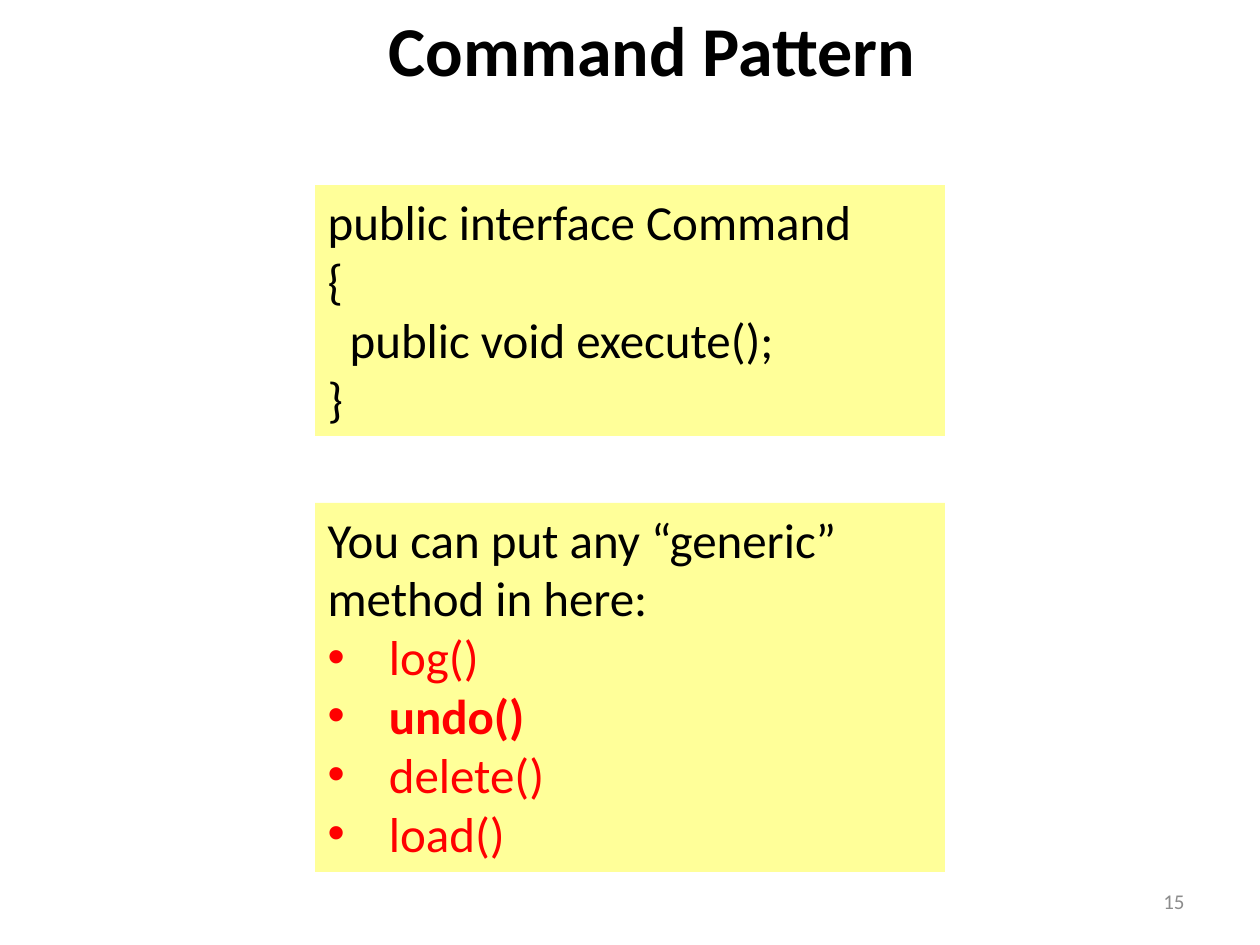
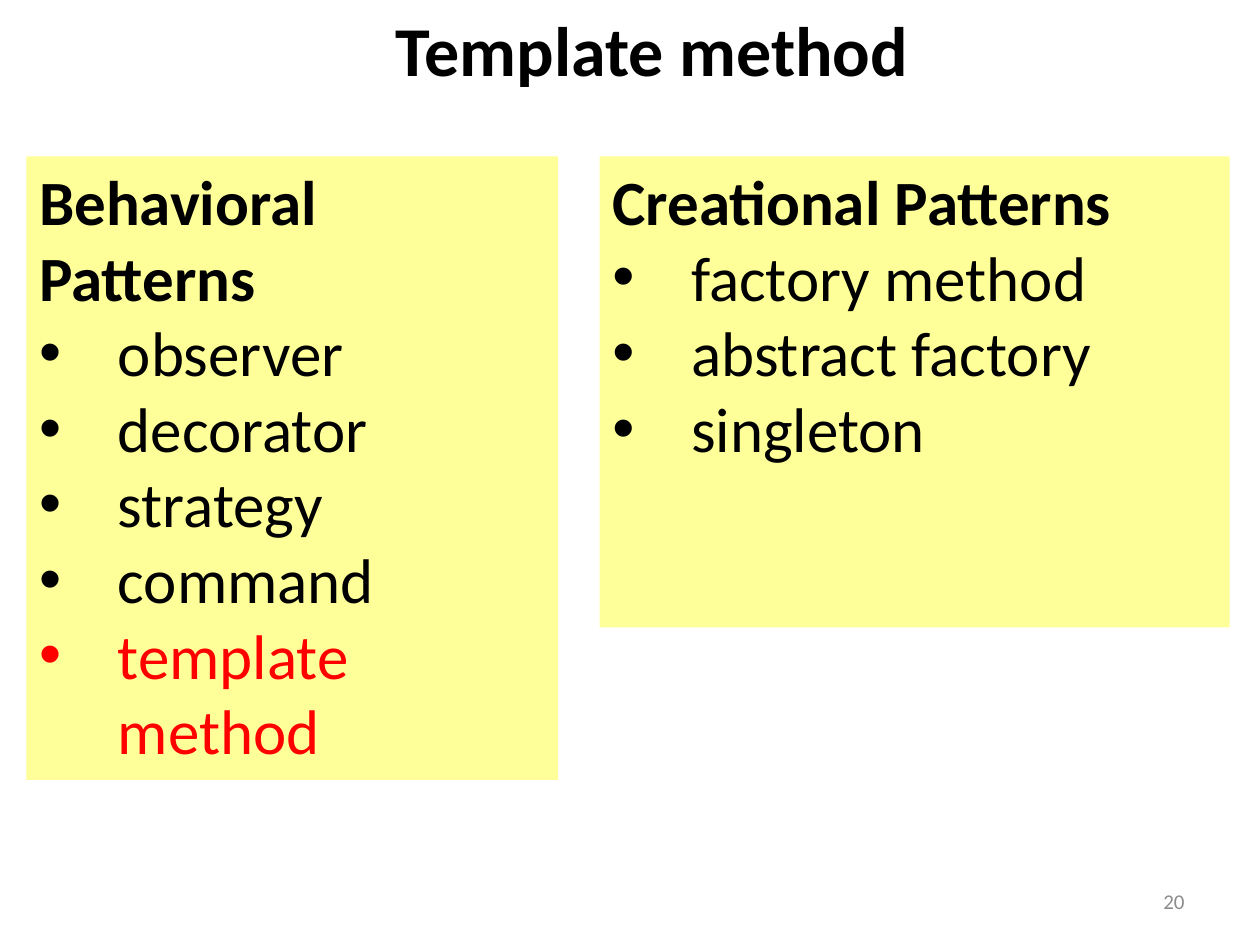
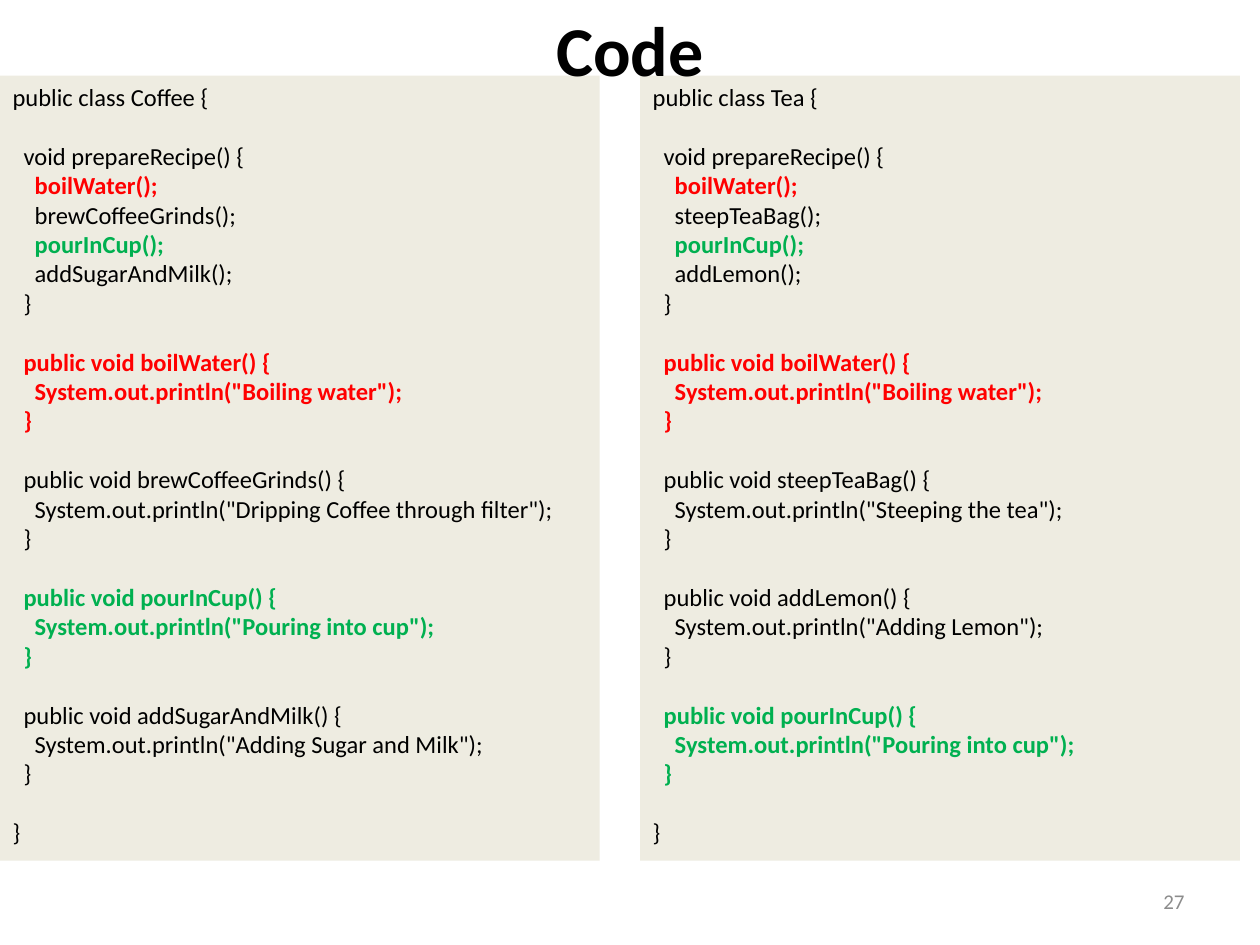
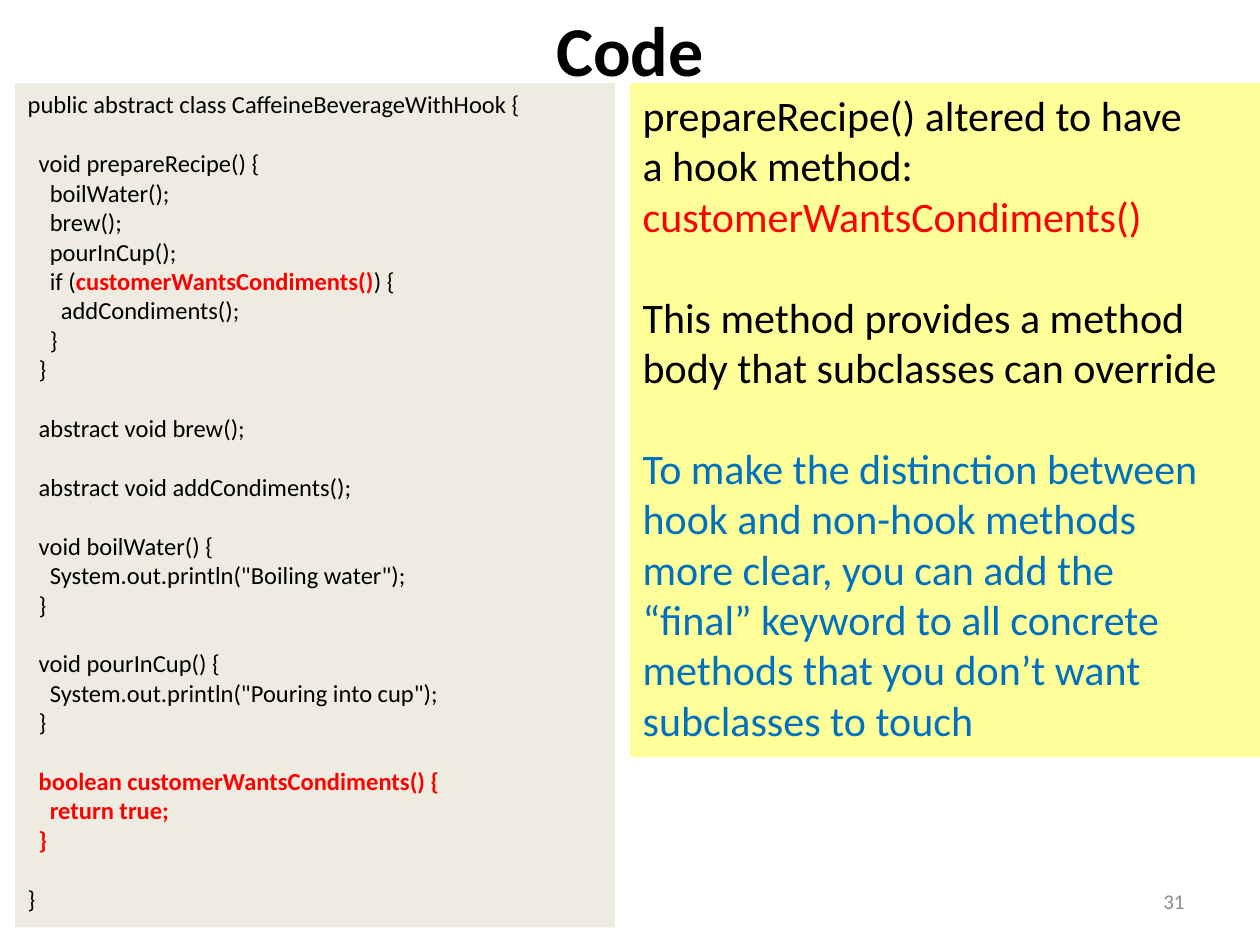
from dataclasses import dataclass

from lxml import etree
from pptx import Presentation
from pptx.dml.color import RGBColor
from pptx.enum.text import MSO_ANCHOR, MSO_AUTO_SIZE, PP_ALIGN
from pptx.oxml.ns import qn
from pptx.util import Inches, Pt

TOP = MSO_ANCHOR.TOP
MIDDLE = MSO_ANCHOR.MIDDLE
FIXED_SIZE = MSO_AUTO_SIZE.NONE
LEFT = PP_ALIGN.LEFT
CENTER = PP_ALIGN.CENTER
RIGHT = PP_ALIGN.RIGHT
COLUMNS, ROWS = 100, 75
TWO_CONTENT_LAYOUT = 3


@dataclass(frozen=True)
class Tone:
    """Colour and weight of a stretch of text."""
    color: str
    bold: bool = False


@dataclass(frozen=True)
class Theme:
    """Colours, type sizes and text proportions of the deck."""
    font: str = "Calibri"
    note_fill: str = "FFFF99"
    code_fill: str = "EEECE1"
    plain: Tone = Tone("000000")
    heading: Tone = Tone("000000", True)
    red: Tone = Tone("FF0000")
    strong_red: Tone = Tone("FF0000", True)
    strong_green: Tone = Tone("00B050", True)
    blue: Tone = Tone("0070C0")
    footer: Tone = Tone("8C8C8C")
    title_size: int = 40
    list_size: int = 36
    note_size: int = 28
    remark_size: int = 24
    code_size: int = 14
    footer_size: int = 12
    line_height: float = 1.2
    code_indent: float = 0.45
    bullet_indent: float = 1.25


THEME = Theme()


@dataclass(frozen=True)
class Box:
    """Place and size in grid columns and rows."""
    left: float
    top: float
    width: float
    height: float


@dataclass(frozen=True)
class Line:
    """One paragraph; text between bars takes the accent tone."""
    text: str
    tone: Tone = THEME.plain
    depth: int = 0
    gap: bool = False
    bullet: bool = False


@dataclass(frozen=True)
class Panel:
    """A filled block of text."""
    box: Box
    fill: str
    size: int
    lines: list[Line]


@dataclass(frozen=True)
class Page:
    """Content of one slide."""
    number: int
    title: str
    title_box: Box
    panels: tuple[Panel, Panel]


NUMBER_BOX = Box(71.7, 69.5, 23.3, 4)
SHIFTED_TITLE = Box(3.5, 0, 96.5, 7.7)
FULL_TITLE = Box(0, 0, COLUMNS, 7.7)


def place(shape, box: Box) -> None:
    """Move a shape to its grid cells."""
    column, row = Inches(10) / COLUMNS, Inches(7.5) / ROWS
    shape.left, shape.width = round(box.left * column), round(box.width * column)
    shape.top, shape.height = round(box.top * row), round(box.height * row)


def style_run(run, tone: Tone, size: int) -> None:
    """Apply font, size and tone to a run."""
    run.font.name = THEME.font
    run.font.size = Pt(size)
    run.font.bold = tone.bold
    run.font.color.rgb = RGBColor.from_string(tone.color)


def set_indent(paragraph, line: Line, size: int) -> None:
    """Set margin and bullet of a paragraph."""
    properties = paragraph._p.get_or_add_pPr()
    share = THEME.bullet_indent if line.bullet else THEME.code_indent * line.depth
    margin = Pt(share * size)
    properties.set("marL", str(margin))
    properties.set("indent", str(-margin if line.bullet else 0))
    if line.bullet:
        etree.SubElement(properties, qn("a:buChar")).set("char", "•")
    else:
        etree.SubElement(properties, qn("a:buNone"))


def write(shape, lines: list[Line], size: int, alignment=LEFT, anchor=TOP) -> None:
    """Fill a shape with formatted paragraphs."""
    frame = shape.text_frame
    frame.word_wrap = True
    frame.auto_size = FIXED_SIZE
    frame.vertical_anchor = anchor
    for index, line in enumerate(lines):
        paragraph = frame.add_paragraph() if index else frame.paragraphs[0]
        paragraph.alignment = alignment
        paragraph.space_before = Pt(size * THEME.line_height if line.gap else 0)
        paragraph.space_after = Pt(0)
        set_indent(paragraph, line, size)
        for position, piece in enumerate(line.text.split("|")):
            run = paragraph.add_run()
            run.text = piece
            style_run(run, THEME.strong_red if position % 2 else line.tone, size)


def draw_panel(shape, panel: Panel) -> None:
    """Turn a body placeholder into a filled panel."""
    place(shape, panel.box)
    shape.fill.solid()
    shape.fill.fore_color.rgb = RGBColor.from_string(panel.fill)
    write(shape, panel.lines, panel.size)


def draw_page(presentation, page: Page) -> None:
    """Add one slide with number, panels and title."""
    slide = presentation.slides.add_slide(presentation.slide_layouts[TWO_CONTENT_LAYOUT])
    title, *bodies = slide.placeholders
    for body, panel in zip(bodies, page.panels):
        draw_panel(body, panel)
    number = slide.shapes.add_textbox(0, 0, 0, 0)
    place(number, NUMBER_BOX)
    write(number, [Line(str(page.number), THEME.footer)], THEME.footer_size, RIGHT, MIDDLE)
    place(title, page.title_box)
    write(title, [Line(page.title, THEME.heading)], THEME.title_size, CENTER)
    title._element.getparent().append(title._element)


def bullets(*names: str, tone: Tone = THEME.plain) -> list[Line]:
    """Make bulleted lines."""
    return [Line(name, tone, bullet=True) for name in names]


def calls(*statements: str | tuple[str, Tone]) -> list[Line]:
    """Make statements inside a method."""
    pairs = [(item, THEME.plain) if isinstance(item, str) else item for item in statements]
    return [Line(text, tone, 2) for text, tone in pairs]


def method(signature: str, body: list[Line], tone: Tone = THEME.plain) -> list[Line]:
    """Wrap a body in a method signature and closing brace."""
    return [Line(signature + " {", tone, 1, gap=True), *body, Line("}", tone, 1)]


def printer(name: str, message: str, tone: Tone = THEME.plain,
            modifier: str = "public ") -> list[Line]:
    """Make a method that prints one message."""
    body = calls((f'System.out.println("{message}");', tone))
    return method(f"{modifier}void {name}()", body, tone)


def class_code(header: str, *members: list[Line]) -> list[Line]:
    """Wrap members in a class header and closing brace."""
    inner = [line for member in members for line in member]
    return [Line(header + " {"), *inner, Line("}", gap=True)]


def recipe(brew: str, finish: str) -> list[Line]:
    """Make the four-step recipe method."""
    return method("void prepareRecipe()", calls(
        ("boilWater();", THEME.strong_red), f"{brew}();",
        ("pourInCup();", THEME.strong_green), f"{finish}();"))


BOIL = printer("boilWater", "Boiling water", THEME.strong_red)
POUR = printer("pourInCup", "Pouring into cup", THEME.strong_green)

COFFEE = class_code(
    "public class Coffee",
    recipe("brewCoffeeGrinds", "addSugarAndMilk"),
    BOIL,
    printer("brewCoffeeGrinds", "Dripping Coffee through filter"),
    POUR,
    printer("addSugarAndMilk", "Adding Sugar and Milk"),
)
TEA = class_code(
    "public class Tea",
    recipe("steepTeaBag", "addLemon"),
    BOIL,
    printer("steepTeaBag", "Steeping the tea"),
    printer("addLemon", "Adding Lemon"),
    POUR,
)
HOOK = class_code(
    "public abstract class CaffeineBeverageWithHook",
    method("void prepareRecipe()", [
        *calls("boilWater();", "brew();", "pourInCup();",
               "if (|customerWantsCondiments()|) {"),
        Line("addCondiments();", depth=3),
        Line("}", depth=2),
    ]),
    [Line("abstract void brew();", depth=1, gap=True),
     Line("abstract void addCondiments();", depth=1, gap=True)],
    printer("boilWater", "Boiling water", modifier=""),
    printer("pourInCup", "Pouring into cup", modifier=""),
    method("boolean customerWantsCondiments()",
           calls(("return true;", THEME.strong_red)), THEME.strong_red),
)
REMARKS = [
    Line("prepareRecipe() altered to have"),
    Line("a hook method:"),
    Line("customerWantsCondiments()", THEME.red),
    Line("This method provides a method", gap=True),
    Line("body that subclasses can override"),
    Line("To make the distinction between", THEME.blue, gap=True),
    Line("hook and non-hook methods", THEME.blue),
    Line("more clear, you can add the", THEME.blue),
    Line("“final” keyword to all concrete", THEME.blue),
    Line("methods that you don’t want", THEME.blue),
    Line("subclasses to touch", THEME.blue),
]
INTERFACE = [
    Line("public interface Command"),
    Line("{"),
    Line("public void execute();", depth=1),
    Line("}"),
]
GENERIC_METHODS = [
    Line("You can put any “generic” method in here:"),
    *bullets("log()", tone=THEME.red),
    *bullets("undo()", tone=THEME.strong_red),
    *bullets("delete()", "load()", tone=THEME.red),
]
BEHAVIORAL = [
    Line("Behavioral Patterns", THEME.heading),
    *bullets("observer", "decorator", "strategy", "command"),
    *bullets("template method", tone=THEME.red),
]
CREATIONAL = [
    Line("Creational Patterns", THEME.heading),
    *bullets("factory method", "abstract factory", "singleton"),
]

PAGES = [
    Page(15, "Command Pattern", SHIFTED_TITLE, (
        Panel(Box(25, 14.7, 50, 19.9), THEME.note_fill, THEME.note_size, INTERFACE),
        Panel(Box(25, 39.9, 50, 29.3), THEME.note_fill, THEME.note_size, GENERIC_METHODS),
    )),
    Page(20, "Template method", SHIFTED_TITLE, (
        Panel(Box(2.1, 12.4, 42.2, 49.5), THEME.note_fill, THEME.list_size, BEHAVIORAL),
        Panel(Box(47.6, 12.4, 50, 37.4), THEME.note_fill, THEME.list_size, CREATIONAL),
    )),
    Page(27, "Code", FULL_TITLE, (
        Panel(Box(0, 6, 47.6, 62.3), THEME.code_fill, THEME.code_size, COFFEE),
        Panel(Box(50.8, 6, 47.6, 62.3), THEME.code_fill, THEME.code_size, TEA),
    )),
    Page(31, "Code", FULL_TITLE, (
        Panel(Box(1.2, 6.6, 47.6, 67), THEME.code_fill, THEME.code_size, HOOK),
        Panel(Box(50, 6.6, 50, 53.5), THEME.note_fill, THEME.remark_size, REMARKS),
    )),
]


def main() -> None:
    """Build and save the deck."""
    presentation = Presentation()
    presentation.slide_width = Inches(10)
    presentation.slide_height = Inches(7.5)
    for page in PAGES:
        draw_page(presentation, page)
    presentation.save("out.pptx")


main()
